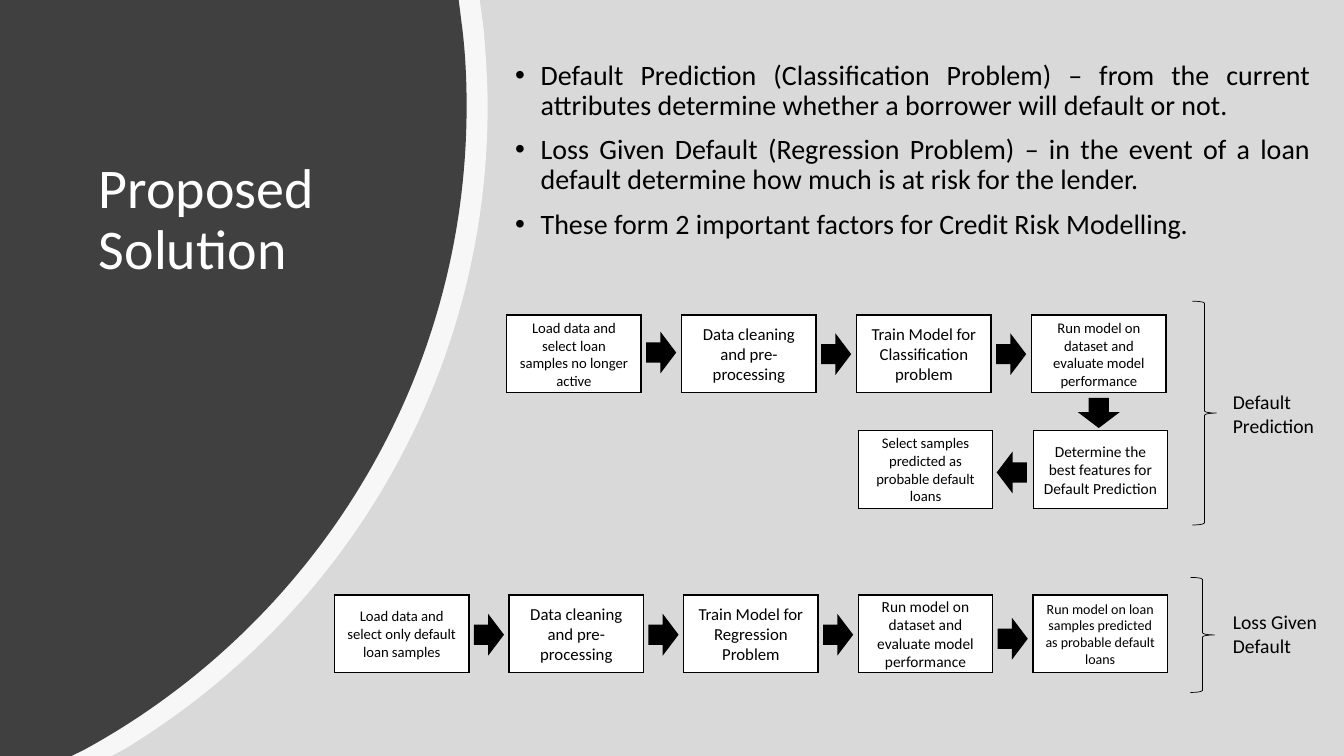
from lxml.etree import SubElement
from pptx import Presentation
from pptx.dml.color import RGBColor
from pptx.enum.shapes import MSO_SHAPE
from pptx.enum.text import MSO_ANCHOR, MSO_AUTO_SIZE, PP_ALIGN
from pptx.oxml.ns import qn
from pptx.util import Cm, Pt

SLIDE_WIDTH, SLIDE_HEIGHT = 33.87, 19.05
BOX_WIDTH, BOX_HEIGHT = 3.39, 1.96
ARROW_WIDTH, ARROW_HEIGHT = 0.72, 0.95
ARROW_OFFSET = 3.53


def color(value):
    return RGBColor.from_string(value)


class SlideBuilder:
    font = "Calibri"
    ink = "000000"
    paper = "FFFFFF"

    def __init__(self, slide):
        self.slide = slide

    def style_paragraph(self, paragraph, size, ink, alignment):
        paragraph.alignment = alignment
        paragraph.font.name = self.font
        paragraph.font.size = Pt(size)
        paragraph.font.color.rgb = color(ink)

    def paint(self, shape, fill=None, line_width=None):
        shape.shadow.inherit = False
        if fill:
            shape.fill.solid()
            shape.fill.fore_color.rgb = color(fill)
        else:
            shape.fill.background()
        if line_width:
            shape.line.color.rgb = color(self.ink)
            shape.line.width = Pt(line_width)
            SubElement(shape.element.spPr.find(qn("a:ln")), qn("a:miter")).set("lim", "800000")
        else:
            shape.line.fill.background()

    def shape(self, kind, left, top, width, height, fill=None, line_width=None):
        shape = self.slide.shapes.add_shape(kind, Cm(left), Cm(top), Cm(width), Cm(height))
        self.paint(shape, fill, line_width)
        return shape

    def curved_panel(self, edge, curves, foot, fill, opacity=None):
        points = edge + [point for curve in curves for point in curve]
        points += [(foot, SLIDE_HEIGHT), (0, SLIDE_HEIGHT)]
        builder = self.slide.shapes.build_freeform(0, 0, scale=Cm(1) / 1000)
        builder.add_line_segments([(round(x * 1000), round(y * 1000)) for x, y in points])
        panel = builder.convert_to_shape()
        self.paint(panel, fill)
        lines = list(panel.element.iter(qn("a:lnTo")))
        for number in range(len(curves)):
            start = len(edge) + 3 * number
            first, second, end = lines[start:start + 3]
            first.tag = qn("a:cubicBezTo")
            for line in (second, end):
                first.append(line[0])
                line.getparent().remove(line)
        if opacity:
            tint = panel.element.spPr.find(qn("a:solidFill"))[0]
            SubElement(tint, qn("a:alpha")).set("val", str(opacity * 1000))

    def placeholder(self, index, left, top, width, height, texts, size, ink, alignment):
        shape = self.slide.placeholders[index]
        shape.left, shape.top, shape.width, shape.height = Cm(left), Cm(top), Cm(width), Cm(height)
        shape.element.getparent().append(shape.element)
        frame = shape.text_frame
        frame.text = "\n".join(texts)
        frame.auto_size = MSO_AUTO_SIZE.NONE
        frame.vertical_anchor = MSO_ANCHOR.TOP
        for paragraph in frame.paragraphs:
            self.style_paragraph(paragraph, size, ink, alignment)
            paragraph.line_spacing = 0.9
        return frame

    def title(self, text, *place):
        self.placeholder(0, *place, [text], 40, self.paper, PP_ALIGN.LEFT)

    def bullets(self, texts, *place):
        frame = self.placeholder(1, *place, texts, 20, self.ink, PP_ALIGN.JUSTIFY)
        for paragraph in frame.paragraphs:
            paragraph.space_before = Pt(10)
            properties = paragraph._p.get_or_add_pPr()
            properties.set("marL", str(Cm(0.64)))
            properties.set("indent", str(-Cm(0.64)))
            SubElement(properties, qn("a:buFont")).set("typeface", "Arial")
            SubElement(properties, qn("a:buChar")).set("char", "•")

    def step(self, text, size, left, top):
        box = self.shape(MSO_SHAPE.RECTANGLE, left, top, BOX_WIDTH, BOX_HEIGHT, self.paper, 1)
        frame = box.text_frame
        frame.word_wrap = True
        frame.vertical_anchor = MSO_ANCHOR.MIDDLE
        frame.text = text
        self.style_paragraph(frame.paragraphs[0], size, self.ink, PP_ALIGN.CENTER)

    def arrow(self, left, top, rotation=0):
        arrow = self.shape(MSO_SHAPE.RIGHT_ARROW, left, top, ARROW_WIDTH, ARROW_HEIGHT, self.ink, 1)
        arrow.rotation = rotation

    def step_row(self, steps, arrow_tops, left, top, pitch):
        for column, (text, size) in enumerate(steps):
            self.step(text, size, left + column * pitch, top)
        for column, arrow_top in enumerate(arrow_tops):
            self.arrow(left + column * pitch + ARROW_OFFSET, arrow_top)

    def brace(self, left, top, height):
        self.shape(MSO_SHAPE.RIGHT_BRACE, left, top, 0.61, height, line_width=0.5)

    def label(self, text, left, top):
        box = self.slide.shapes.add_textbox(Cm(left), Cm(top), Cm(2.7), Cm(1.45))
        frame = box.text_frame
        frame.word_wrap = True
        frame.text = text
        self.style_paragraph(frame.paragraphs[0], 14, self.ink, PP_ALIGN.LEFT)


def main():
    presentation = Presentation()
    presentation.slide_width, presentation.slide_height = Cm(SLIDE_WIDTH), Cm(SLIDE_HEIGHT)
    builder = SlideBuilder(presentation.slides.add_slide(presentation.slide_layouts[1]))

    builder.shape(MSO_SHAPE.RECTANGLE, 0, 0, SLIDE_WIDTH, SLIDE_HEIGHT, "D9D9D9")
    builder.curved_panel(
        [(12.09, 0), (12.19, 0.74)],
        [((12.24, 1.37), (12.29, 2.03), (12.29, 2.67)),
         ((12.29, 9.53), (8.64, 15.52), (3.18, 18.85))],
        2.82, "FFFFFF", 80)
    builder.curved_panel(
        [(11.56, 0), (11.66, 0.79)],
        [((11.73, 1.4), (11.76, 2.03), (11.76, 2.67)),
         ((11.76, 9.68), (7.85, 15.77), (2.11, 18.9))],
        1.8, "404040")

    builder.title("Proposed Solution", 2.24, 3.92, 7.98, 5.99)
    builder.bullets([
        "Default Prediction (Classification Problem) – from the current attributes "
        "determine whether a borrower will default or not.",
        "Loss Given Default (Regression Problem) – in the event of a loan default "
        "determine how much is at risk for the lender.",
        "These form 2 important factors for Credit Risk Modelling.",
    ], 12.73, 1.41, 20.55, 4.98)

    left, pitch = 12.77, 4.41
    builder.step_row([
        ("Load data and select loan samples no longer active", 10.5),
        ("Data cleaning and pre-processing", 12),
        ("Train Model for Classification problem", 12),
        ("Run model on dataset and evaluate model performance", 10.5),
    ], [8.41, 8.45, 8.45], left, 7.94, pitch)
    third, fourth = left + 2 * pitch + 0.04, left + 3 * pitch + 0.04
    lower_top = 10.85
    builder.arrow(27.33, 9.93, 90)
    builder.step("Determine the best features for Default Prediction", 11, fourth, lower_top)
    builder.arrow(third + ARROW_OFFSET - 0.02, 11.43, 180)
    builder.step("Select samples predicted as probable default loans", 10.5, third, lower_top)
    builder.brace(30.05, 7.59, 5.64)
    builder.label("Default Prediction", 30.82, 9.71)

    builder.step_row([
        ("Load data and select only default loan samples", 10.5),
        ("Data cleaning and pre-processing", 12),
        ("Train Model for Regression Problem", 12),
        ("Run model on dataset and evaluate model performance", 11),
        ("Run model on loan samples predicted as probable default loans", 10),
    ], [15.52, 15.52, 15.52, 15.62], 8.43, 14.99, 4.4)
    builder.brace(30, 14.55, 2.9)
    builder.label("Loss Given Default", 30.82, 15.25)

    presentation.save("out.pptx")


if __name__ == "__main__":
    main()
